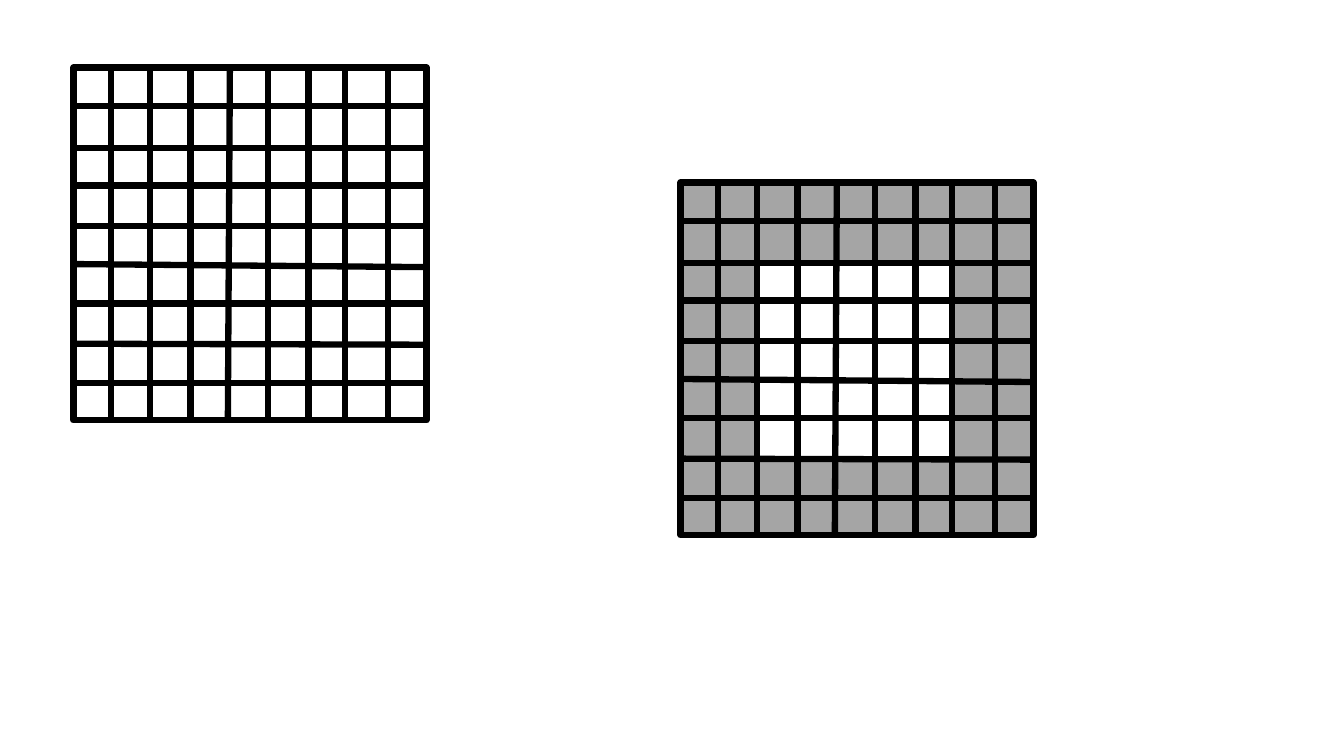
from dataclasses import dataclass

from lxml import etree
from pptx import Presentation
from pptx.dml.color import RGBColor
from pptx.enum.shapes import MSO_CONNECTOR as CONN, MSO_SHAPE as SHAPE
from pptx.oxml.ns import qn
from pptx.util import Inches, Pt


@dataclass(frozen=True)
class Theme:
    """Colours and line widths of the slide."""
    ink: RGBColor = RGBColor(0x00, 0x00, 0x00)
    shade: RGBColor = RGBColor(0xA5, 0xA5, 0xA5)
    edge: RGBColor = RGBColor(0xFF, 0xFF, 0xFF)
    grid_pt: float = 4.5
    edge_pt: float = 1.5


SIDE = 3.5
# Offsets from the grid's corner: (left, right) for rows, (top, bottom) for columns
ROWS = [(0.38, 0.38), (0.8, 0.8), (1.17, 1.17), (1.57, 1.57),
        (1.95, 1.98), (2.34, 2.34), (2.74, 2.75), (3.13, 3.13)]
COLUMNS = [(0.37, 0.37), (0.76, 0.76), (1.16, 1.16), (1.55, 1.53),
           (1.93, 1.93), (2.33, 2.33), (2.69, 2.69), (3.12, 3.12)]
# Shaded frame: left, top, width, height, rotation
FRAME_BARS = [(6.75, 1.82, 3.5, 0.78, 0), (8.1, 3.14, 3.5, 0.8, 90),
              (5.38, 3.16, 3.5, 0.8, 90), (6.73, 4.57, 3.55, 0.76, 0)]
GRID_CORNERS = [(0.73, 0.67), (6.75, 1.81)]


class SlideBuilder:
    """Draws styled elements on the current slide."""

    def __init__(self, s, theme):
        """Keep the slide and its theme."""
        self.s, self.theme = s, theme

    def rect(self, shapes, x, y, w, h, line, width, fill=None, rotation=0):
        """Add a rectangle, unfilled unless a fill is given."""
        sp = shapes.add_shape(SHAPE.RECTANGLE, Inches(x), Inches(y), Inches(w), Inches(h))
        sp.shadow.inherit = False
        sp.rotation = rotation
        if fill is None:
            sp.fill.background()
        else:
            sp.fill.solid()
            sp.fill.fore_color.rgb = fill
        sp.line.color.rgb = line
        sp.line.width = Pt(width)

    def line(self, shapes, x1, y1, x2, y2):
        """Add a straight grid line."""
        cxn = shapes.add_connector(CONN.STRAIGHT, Inches(x1), Inches(y1),
                                   Inches(x2), Inches(y2))
        cxn.line.color.rgb = self.theme.ink
        cxn.line.width = Pt(self.theme.grid_pt)
        etree.SubElement(cxn._element.spPr, qn("a:effectLst"))

    def bar(self, x, y, w, h, rotation):
        """Add one shaded bar of the frame."""
        t = self.theme
        self.rect(self.s.shapes, x, y, w, h, t.edge, t.edge_pt, t.shade, rotation)

    def grid(self, x, y):
        """Add a grouped nine-by-nine grid with its corner at x, y."""
        shapes = self.s.shapes.add_group_shape().shapes
        self.rect(shapes, x, y, SIDE, SIDE, self.theme.ink, self.theme.grid_pt)
        for left, right in ROWS:
            self.line(shapes, x + SIDE, y + right, x, y + left)
        for top, bottom in COLUMNS:
            self.line(shapes, x + bottom, y + SIDE, x + top, y)


def main():
    """Build and save the slide."""
    prs = Presentation()
    prs.slide_width, prs.slide_height = Inches(13.33), Inches(7.5)
    blank = prs.slide_layouts[6]
    builder = SlideBuilder(prs.slides.add_slide(blank), Theme())
    for bar in FRAME_BARS:
        builder.bar(*bar)
    for corner in GRID_CORNERS:
        builder.grid(*corner)
    prs.save("out.pptx")


main()
